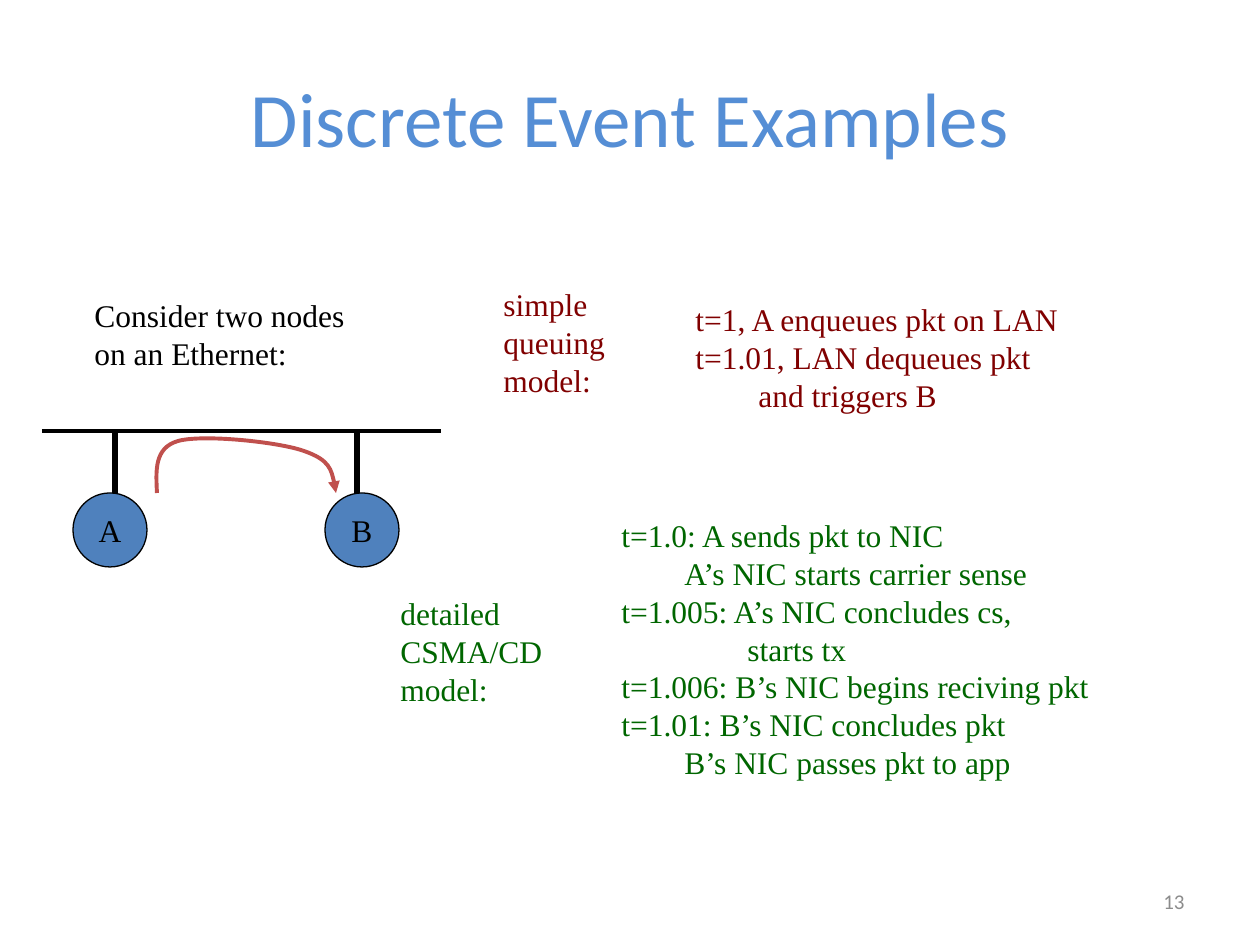
from lxml import etree
from pptx import Presentation
from pptx.dml.color import RGBColor
from pptx.enum.shapes import MSO_CONNECTOR, MSO_SHAPE
from pptx.enum.text import MSO_ANCHOR, PP_ALIGN
from pptx.oxml.ns import qn
from pptx.util import Pt

LEFT, CENTER, RIGHT = PP_ALIGN.LEFT, PP_ALIGN.CENTER, PP_ALIGN.RIGHT
TOP, MIDDLE = MSO_ANCHOR.TOP, MSO_ANCHOR.MIDDLE
STRAIGHT, OVAL = MSO_CONNECTOR.STRAIGHT, MSO_SHAPE.OVAL

# Content; boxes are left, top, width, height in px
TITLE = "Discrete Event Examples"
TITLE_BOX = (63, 38, 1134, 157)
NUMBER = "13"
NUMBER_BOX = (903, 876, 294, 50)
NOTES = [
    ((82, 290, 359, 113), "black", ["Consider two nodes", "on an Ethernet:"]),
    ((491, 279, 160, 164), "simple", ["simple", "queuing", "model:"]),
    ((683, 294, 513, 164), "simple",
     ["t=1, A enqueues pkt on LAN",
      "t=1.01, LAN dequeues pkt",
      "\tand triggers B"]),
    ((388, 588, 214, 164), "detailed", ["detailed", "CSMA/CD", "model:"]),
    ((609, 510, 650, 365), "detailed",
     ["t=1.0: A sends pkt to NIC",
      "\tA’s NIC starts carrier sense",
      "t=1.005: A’s NIC concludes cs,",
      "\t\tstarts tx",
      "t=1.006: B’s NIC begins reciving pkt",
      "t=1.01: B’s NIC concludes pkt",
      "\tB’s NIC passes pkt to app"]),
]

# Network: node left edge and the x of its drop to the bus
NODES = [("A", 73, 115), ("B", 325, 357)]
BUS_LEFT, BUS_RIGHT, BUS_Y = 42, 441, 431
NODE_TOP, NODE_SIZE = 493, 74
# Packet path: start point, then three points per cubic segment
PACKET = [(157, 493),
          (156, 471), (154, 448), (178, 441),
          (203, 434), (279, 442), (304, 451),
          (330, 460), (334, 477), (336, 493)]

THEME = {
    "title": "558ED5", "number": "8C8C8C", "black": "000000",
    "simple": "800000", "detailed": "006600",
    "node": "4F81BD", "packet": "C0504D",
    "head_font": "Calibri", "body_font": "Times New Roman",
    "title_pt": 44, "body_pt": 18, "number_pt": 12,
    "bus_pt": 2.25, "drop_pt": 3, "edge_pt": 0.75,
}
SCALE = 914400 / 126


def px(*values):
    return [round(v * SCALE) for v in values]


def color(name):
    return RGBColor.from_string(THEME[name])


def write(tf, lines, ink, kind="body", align=LEFT, anchor=TOP, wrap=False):
    tf.word_wrap = wrap
    tf.vertical_anchor = anchor
    for i, line in enumerate(lines):
        p = tf.add_paragraph() if i else tf.paragraphs[0]
        p.alignment = align
        r = p.add_run()
        r.text = line
        r.font.name = THEME["body_font" if kind == "body" else "head_font"]
        r.font.size = Pt(THEME[kind + "_pt"])
        r.font.color.rgb = color(ink)


def stroke(line, ink, width):
    line.color.rgb = color(ink)
    line.width = Pt(THEME[width])


def add_line(s, x1, y1, x2, y2, width):
    c = s.shapes.add_connector(STRAIGHT, *px(x1, y1, x2, y2))
    stroke(c.line, "black", width)
    etree.SubElement(c._element.spPr, qn("a:effectLst"))


def add_packet(s):
    fb = s.shapes.build_freeform(*PACKET[0], scale=SCALE)
    fb.add_line_segments(PACKET[1:], close=False)
    sp = fb.convert_to_shape()
    sp.shadow.inherit = False
    sp.fill.background()
    stroke(sp.line, "packet", "bus_pt")
    etree.SubElement(sp.line._get_or_add_ln(), qn("a:tailEnd"), type="triangle")
    # Turn each three line segments into one cubic curve
    segments = list(sp._element.iter(qn("a:lnTo")))
    for i in range(0, len(segments), 3):
        curve = etree.SubElement(segments[i].getparent(), qn("a:cubicBezTo"))
        for segment in segments[i:i + 3]:
            curve.append(segment[0])
            segment.getparent().remove(segment)


def main():
    prs = Presentation()
    prs.slide_width, prs.slide_height = px(1260, 945)
    s = prs.slides.add_slide(prs.slide_layouts[5])

    # Title and slide number
    title = s.shapes.title
    title.left, title.top, title.width, title.height = px(*TITLE_BOX)
    write(title.text_frame, [TITLE], "title", "title", CENTER, MIDDLE, True)
    number = s.shapes.add_textbox(*px(*NUMBER_BOX))
    write(number.text_frame, [NUMBER], "number", "number", RIGHT, MIDDLE, True)

    # Network
    add_line(s, BUS_LEFT, BUS_Y, BUS_RIGHT, BUS_Y, "bus_pt")
    for name, left, drop_x in NODES:
        sp = s.shapes.add_shape(OVAL, *px(left, NODE_TOP, NODE_SIZE, NODE_SIZE))
        sp.shadow.inherit = False
        sp.fill.solid()
        sp.fill.fore_color.rgb = color("node")
        stroke(sp.line, "black", "edge_pt")
        write(sp.text_frame, [name], "black", align=CENTER, anchor=MIDDLE)
        add_line(s, drop_x, NODE_TOP, drop_x, BUS_Y, "drop_pt")
    add_packet(s)

    # Text blocks
    for box, ink, lines in NOTES:
        write(s.shapes.add_textbox(*px(*box)).text_frame, lines, ink)

    prs.save("out.pptx")


if __name__ == "__main__":
    main()
